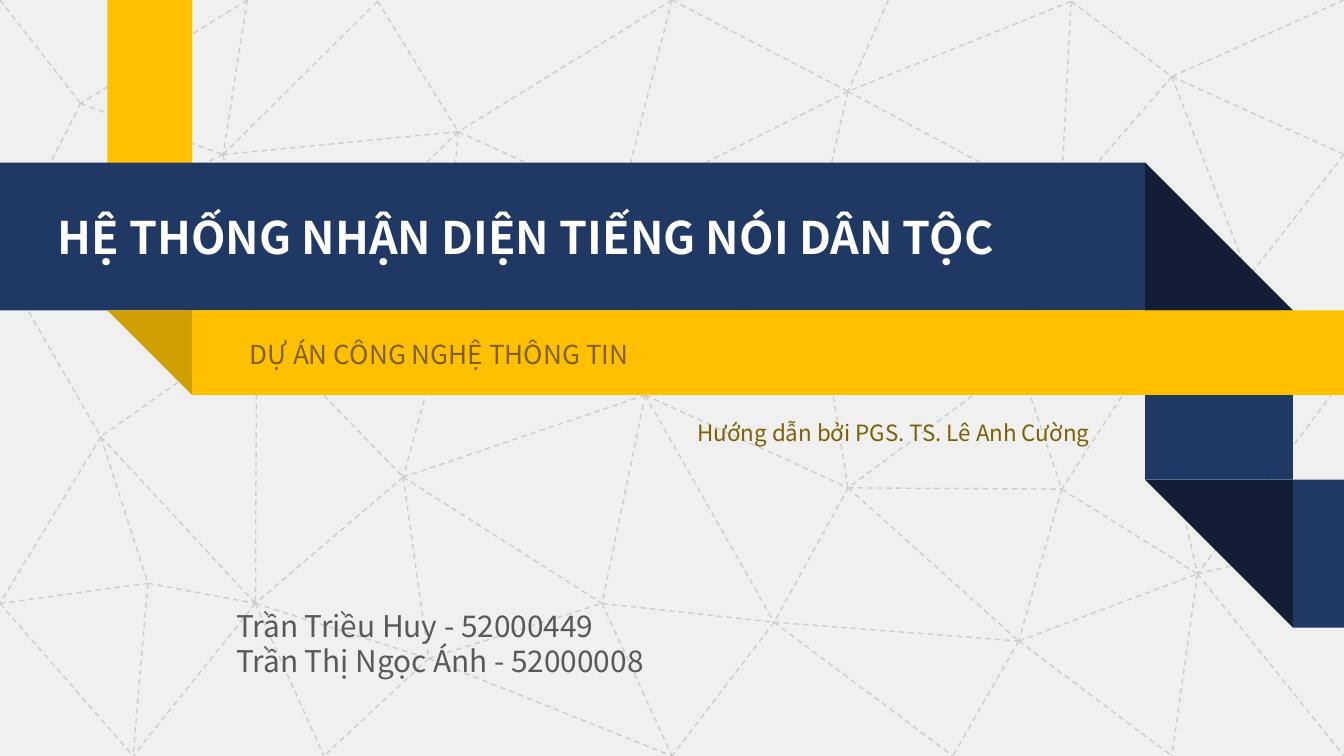
from pptx import Presentation
from pptx.dml.color import RGBColor
from pptx.enum.dml import MSO_LINE
from pptx.enum.shapes import MSO_CONNECTOR as Connector, MSO_SHAPE as Shape
from pptx.enum.text import MSO_ANCHOR as Anchor, MSO_AUTO_SIZE as AutoSize, PP_ALIGN as Align
from pptx.oxml.ns import qn
from pptx.util import Inches, Pt
from lxml.etree import SubElement

WIDTH = 10
HEIGHT = WIDTH * 9 / 16
FONT = "Noto Sans CJK SC"
COLORS = {
    "paper": "F0F0F0", "mesh": "CDCDCD",
    "navy": "203864", "navy fold": "111E35",
    "gold": "FFC000", "gold fold": "D09E00",
    "white": "FFFFFF", "brown": "7F6000", "gray": "595959",
}

# Ribbon grid: column edges, row edges and band thickness
GOLD_LEFT, GOLD_RIGHT = 0.8, 1.43
NAVY_LEFT, NAVY_RIGHT = 8.52, 9.62
NAVY_TOP, GOLD_TOP, TAIL_TOP = 1.21, 2.31, 3.57
NAVY_BAND = NAVY_RIGHT - NAVY_LEFT
GOLD_BAND = GOLD_RIGHT - GOLD_LEFT

# Mesh nodes, numbered row by row from the top
NODES = [
    (0, 0), (1.84, 0), (2.81, 0.01), (5, 0), (6.61, 0), (7.97, 0.01), (WIDTH, 0),
    (0.6, 0.77), (1.66, 1.15), (3.41, 0.98), (6.31, 0.68), (8.72, 0.57), (WIDTH, 1.15),
    (0, 1.95), (1.91, 2.43), (4.61, 1.53), (6.03, 1.89), (7.89, 1.53), (9.29, 2.06),
    (0.75, 3.25), (3.27, 2.56), (4.8, 2.94), (7.58, 2.69), (8.54, 2.65), (WIDTH, 2.81),
    (3, 3.55), (6.31, 3.63), (7.9, 3.64),
    (0, 4.49), (1.1, 4.34), (1.9, 4.49), (3.19, 4.9), (4.48, 4.49),
    (5.76, 4.63), (7.58, 4.77), (8.91, 4.27), (WIDTH, 4.02),
    (0.99, HEIGHT), (2.41, HEIGHT), (5, HEIGHT), (7.09, HEIGHT), (8.72, HEIGHT),
    (WIDTH, HEIGHT),
]
# For each node, the later nodes it is joined to
LINKS = [
    [7], [7, 8], [8, 9], [9, 10, 15], [10], [10, 11, 17], [11],
    [8, 13], [9, 13, 14], [14, 15, 20], [15, 16, 17], [12, 17, 18], [18],
    [14, 19], [19, 25, 30], [20, 21], [21, 22, 26], [18, 22, 23], [23, 24],
    [28, 29, 30], [21, 25], [25, 26, 32, 33], [26, 27], [24, 27, 35], [35],
    [30, 31, 32], [27, 33, 34], [34, 35],
    [29, 37], [30, 37], [31, 37, 38], [32, 38, 39], [33, 39],
    [34, 39, 40], [35, 40, 41], [36, 41, 42],
]


def rgb(name):
    return RGBColor.from_string(COLORS[name])


def add_mesh(page):
    for start, ends in zip(NODES, LINKS):
        for end in ends:
            points = [Inches(value) for value in (*start, *NODES[end])]
            edge = page.shapes.add_connector(Connector.STRAIGHT, *points)
            edge.line.color.rgb = rgb("mesh")
            edge.line.width = Pt(0.75)
            edge.line.dash_style = MSO_LINE.DASH
            SubElement(edge.element.spPr, qn("a:effectLst"))


def add_panel(page, left, top, width, height, color, kind=Shape.RECTANGLE, turn=0):
    panel = page.shapes.add_shape(
        kind, Inches(left), Inches(top), Inches(width), Inches(height))
    panel.fill.solid()
    panel.fill.fore_color.rgb = rgb(color)
    panel.line.fill.background()
    panel.shadow.inherit = False
    panel.rotation = turn


def add_fold(page, left, top, side, color, turn=0):
    add_panel(page, left, top, side, side, color, Shape.RIGHT_TRIANGLE, turn)


def write(box, at, lines, size, color, bold=False):
    box.left, box.top, box.width, box.height = [Inches(value) for value in at]
    frame = box.text_frame
    frame.text = "\n".join(lines)
    frame.word_wrap = True
    frame.auto_size = AutoSize.NONE
    frame.vertical_anchor = Anchor.TOP
    for para in frame.paragraphs:
        para.alignment = Align.LEFT
        para.space_before = Pt(0)
        para.font.name = FONT
        para.font.size = Pt(size)
        para.font.bold = bold
        para.font.color.rgb = rgb(color)


def bring_to_front(box):
    box.element.getparent().append(box.element)


def add_ribbons(page):
    # Right tail, running down behind the gold band and off the edge
    add_panel(page, NAVY_LEFT, GOLD_TOP, NAVY_BAND, TAIL_TOP - GOLD_TOP, "navy")
    add_fold(page, NAVY_LEFT, TAIL_TOP, NAVY_BAND, "navy fold", turn=180)
    add_panel(page, NAVY_RIGHT, TAIL_TOP, WIDTH - NAVY_RIGHT, NAVY_BAND, "navy")
    # Gold strip from the top, then the navy title band over it
    add_panel(page, GOLD_LEFT, 0, GOLD_BAND, GOLD_TOP, "gold")
    add_panel(page, 0, NAVY_TOP, NAVY_LEFT, NAVY_BAND, "navy")
    add_fold(page, NAVY_LEFT, NAVY_TOP, NAVY_BAND, "navy fold")
    # Gold subtitle band
    add_fold(page, GOLD_LEFT, GOLD_TOP, GOLD_BAND, "gold fold", turn=180)
    add_panel(page, GOLD_RIGHT, GOLD_TOP, WIDTH - GOLD_RIGHT, GOLD_BAND, "gold")


def add_texts(page):
    title, subtitle = page.placeholders
    write(title, (0.33, 1.51, 7.87, 0.5),
          ["HỆ THỐNG NHẬN DIỆN TIẾNG NÓI DÂN TỘC"], 24, "white", bold=True)
    write(subtitle, (1.76, 2.47, 3.32, 0.34), ["DỰ ÁN CÔNG NGHỆ THÔNG TIN"], 14, "brown")
    bring_to_front(title)
    bring_to_front(subtitle)

    advisor = page.shapes.add_textbox(0, 0, 0, 0)
    write(advisor, (5.09, 3.07, 3.31, 0.3),
          ["Hướng dẫn bởi PGS. TS. Lê Anh Cường"], 12, "brown")
    authors = page.shapes.add_textbox(0, 0, 0, 0)
    write(authors, (1.66, 4.47, 3.42, 0.64),
          ["Trần Triều Huy - 52000449", "Trần Thị Ngọc Ánh - 52000008"], 16, "gray")


def main():
    deck = Presentation()
    deck.slide_width, deck.slide_height = Inches(WIDTH), Inches(HEIGHT)
    page = deck.slides.add_slide(deck.slide_layouts[0])
    page.background.fill.solid()
    page.background.fill.fore_color.rgb = rgb("paper")
    add_mesh(page)
    add_ribbons(page)
    add_texts(page)
    deck.save("out.pptx")


if __name__ == "__main__":
    main()
